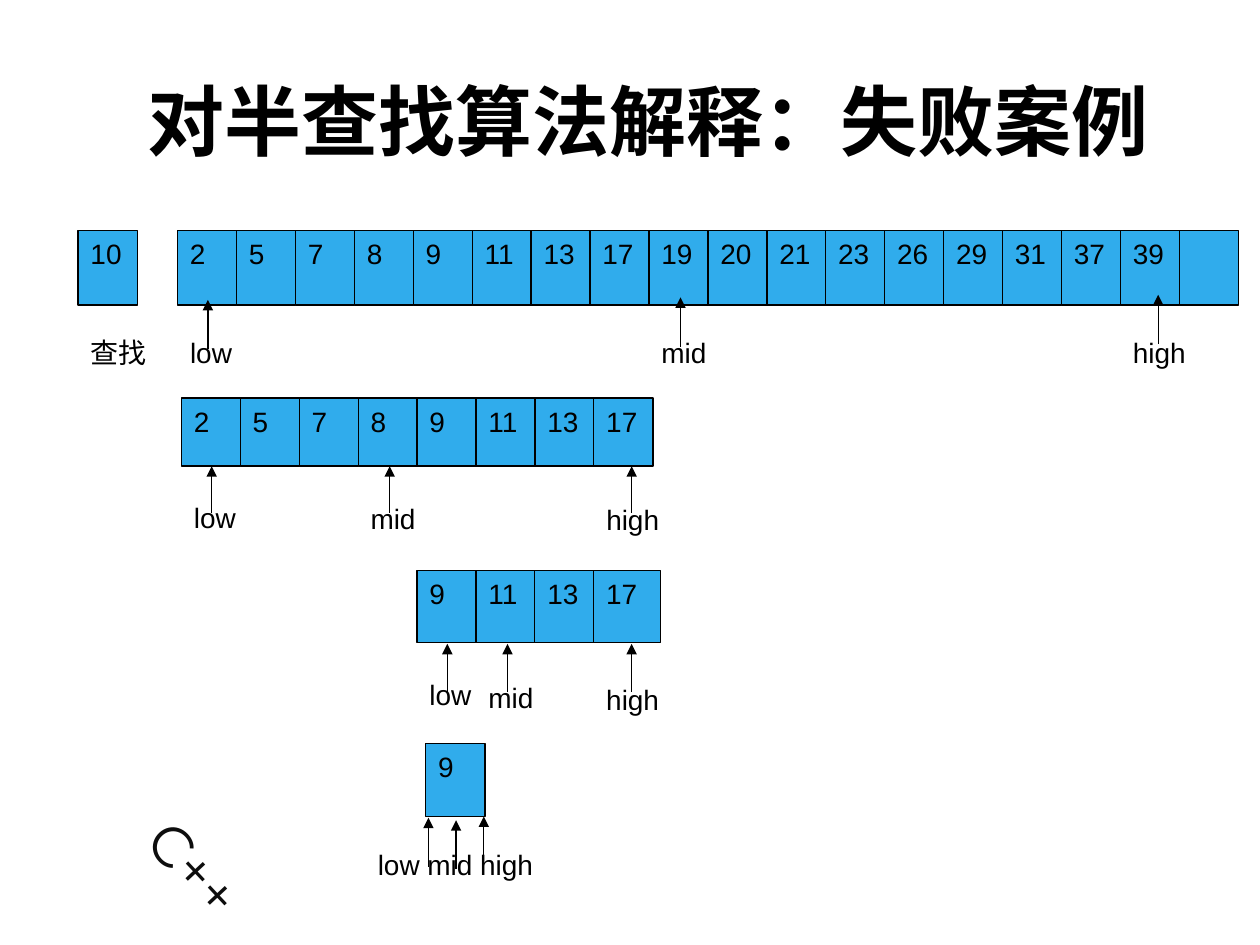
from dataclasses import dataclass

from lxml.etree import SubElement as Sub
from pptx import Presentation
from pptx.dml.color import RGBColor as Rgb
from pptx.enum.shapes import MSO_CONNECTOR as Conn, MSO_SHAPE as Shape
from pptx.enum.text import MSO_ANCHOR as Anchor, PP_ALIGN as Align
from pptx.oxml.ns import qn
from pptx.util import Inches as In, Pt


@dataclass(frozen=True)
class Theme:
    fill: Rgb = Rgb(0x30, 0xAC, 0xEC)
    ink: Rgb = Rgb(0, 0, 0)
    soft: Rgb = Rgb(0x0D, 0x0D, 0x0D)
    font: str = "Arial"
    deco: str = "Montserrat"
    title: int = 44
    mark: int = 32
    body: int = 16
    line: float = 0.75


@dataclass(frozen=True)
class Step:
    """One round of the search: cells, pointer columns and pointer heights."""
    left: float
    top: float
    high: float
    vals: list
    cols: tuple = ()     # columns of low, mid, high
    label: float = 0     # top of the first label
    fall: float = 0      # each next label sits lower by this
    tip: float = 0       # arrow head of the first pointer
    rise: float = 0      # each next head sits higher by this
    size: float = 0      # arrow length
    last: float = 0.47   # width of the last cell


LOOK = Theme()
WIDE, TALL = 10, 7.5
CELL = 0.47
COL = 7.95 / 17          # pitch of the cell columns
NAMES = {"low": (0.24, 0.62), "mid": (0.25, 0.8), "high": (0.3, 0.85)}

DATA = [2, 5, 7, 8, 9, 11, 13, 17, 19, 20, 21, 23, 26, 29, 31, 37, 39]
STEPS = [
    Step(1.41, 1.83, 0.59, DATA + [""], (0, 8, 16),
         2.61, 0, 2.38, 0.02, 0.39),
    Step(1.44, 3.16, 0.54, DATA[:8], (0, 3, 7),
         3.92, 0.01, 3.7, 0, 0.37),
    Step(3.31, 4.53, 0.57, DATA[4:8], (0, 1, 3),
         5.33, 0.02, 5.11, 0, 0.38, last=0.53),
    Step(3.38, 5.9, 0.58, DATA[4:5]),
]


def write(frame, text, size=LOOK.body, font=LOOK.font, ink=LOOK.ink,
          bold=False, align=Align.JUSTIFY):
    frame.word_wrap = True
    para = frame.paragraphs[0]
    para.text = str(text)
    para.alignment = align
    para.font.size = Pt(size)
    para.font.name = font
    para.font.bold = bold
    para.font.color.rgb = ink


def label(slide, x, y, w, h, text, **style):
    box = slide.shapes.add_textbox(In(x), In(y), In(w), In(h))
    write(box.text_frame, text, **style)
    return box


def cell(slide, x, y, w, h, text):
    box = slide.shapes.add_shape(Shape.RECTANGLE, In(x), In(y), In(w), In(h))
    box.shadow.inherit = False
    box.fill.solid()
    box.fill.fore_color.rgb = LOOK.fill
    box.line.color.rgb = LOOK.ink
    box.line.width = Pt(LOOK.line)
    box.text_frame.vertical_anchor = Anchor.TOP
    if text != "":
        write(box.text_frame, text)


def arrow(slide, x, tip, size):
    """Upward arrow that ends at height tip."""
    line = slide.shapes.add_connector(
        Conn.STRAIGHT, In(x), In(tip + size), In(x), In(tip))
    line.line.color.rgb = LOOK.ink
    line.line.width = Pt(LOOK.line)
    Sub(line.line._get_or_add_ln(), qn("a:tailEnd"), type="triangle")
    Sub(line._element.spPr, qn("a:effectLst"))


def draw(slide, step):
    # Cells
    end = len(step.vals) - 1
    for i, val in enumerate(step.vals):
        wide = step.last if i == end else CELL
        cell(slide, step.left + i * COL, step.top, wide, step.high, val)
    # Pointers
    for i, (col, name) in enumerate(zip(step.cols, NAMES)):
        shift, wide = NAMES[name]
        x = step.left + col * COL
        label(slide, x, step.label + i * step.fall, wide, step.high, name)
        arrow(slide, x + shift, step.tip - i * step.rise, step.size)


def main():
    deck = Presentation()
    deck.slide_width, deck.slide_height = In(WIDE), In(TALL)
    slide = deck.slides.add_slide(deck.slide_layouts[6])

    # Tilted corner mark
    mark = label(slide, 0.94, 6.78, 1.61, 0.64, "C++", size=LOOK.mark,
                 font=LOOK.deco, ink=LOOK.soft, align=Align.LEFT)
    mark.rotation = 46.9

    # Title
    head = label(slide, 1.07, 0.29, 8.43, 1.32, "对半查找算法解释：失败案例",
                 size=LOOK.title, bold=True, align=Align.LEFT)
    head.text_frame.vertical_anchor = Anchor.MIDDLE

    # Key to find
    first = STEPS[0]
    cell(slide, 0.62, first.top, CELL, first.high, 10)
    label(slide, 0.62, first.label, 0.78, first.high, "查找")

    # Search rounds
    for step in STEPS:
        draw(slide, step)

    # Last round: all pointers meet at one cell
    label(slide, 2.9, 6.68, 1.62, 0.58, "low mid high")
    for i, tip in enumerate((6.49, 6.51, 6.48)):
        arrow(slide, 3.4 + i * 0.22, tip, 0.39)

    deck.save("out.pptx")


if __name__ == "__main__":
    main()
